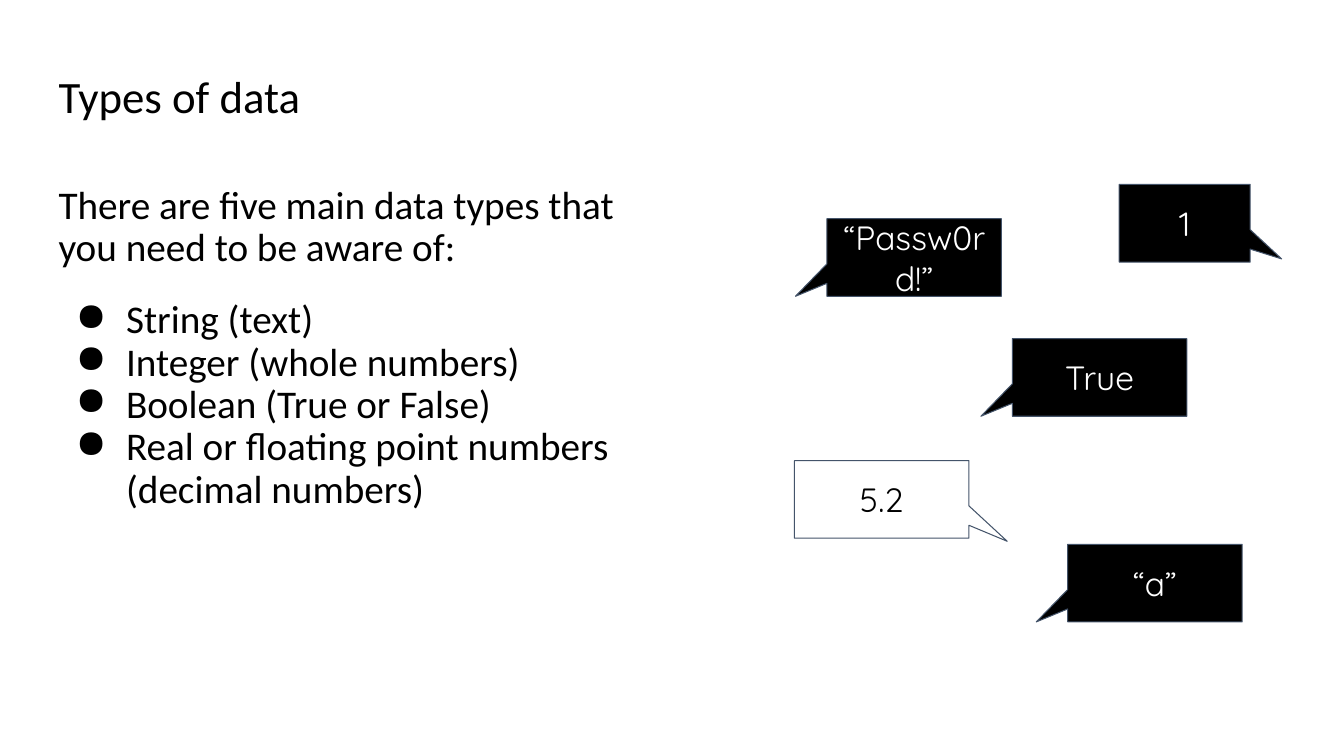
import pptx
import pptx.dml.color
import pptx.enum.shapes
import pptx.enum.text
import pptx.oxml.ns
import pptx.util
from lxml import etree

BLACK = pptx.dml.color.RGBColor(0x00, 0x00, 0x00)
WHITE = pptx.dml.color.RGBColor(0xFF, 0xFF, 0xFF)
SLATE = pptx.dml.color.RGBColor(0x44, 0x54, 0x6A)
MARGIN = pptx.util.Inches(0.13)
MIDDLE = pptx.enum.text.MSO_ANCHOR.MIDDLE
TOP = pptx.enum.text.MSO_ANCHOR.TOP

presentation = pptx.Presentation()
presentation.slide_width = pptx.util.Inches(13.33)
presentation.slide_height = pptx.util.Inches(7.5)
slide = presentation.slides.add_slide(presentation.slide_layouts[6])


def area(left, top, width, height):
    """Turn percentages of the slide into a position and size."""
    across, down = presentation.slide_width, presentation.slide_height
    return [int(share * side / 100) for share, side in
            ((left, across), (top, down), (width, across), (height, down))]


def write(shape, lines, anchor, paragraph_format, font_format, color):
    """Fill a shape with one paragraph per line and return the paragraphs."""
    frame = shape.text_frame
    frame_format = {"word_wrap": True, "vertical_anchor": anchor,
                    "margin_left": MARGIN, "margin_right": MARGIN,
                    "margin_top": MARGIN, "margin_bottom": MARGIN}
    for name, value in frame_format.items():
        setattr(frame, name, value)
    frame.text = "\n".join(lines)
    for paragraph in frame.paragraphs:
        for name, value in paragraph_format.items():
            setattr(paragraph, name, value)
        font = paragraph.runs[0].font
        for name, value in font_format.items():
            setattr(font, name, value)
        font.color.rgb = color
    return frame.paragraphs


# Title
left_aligned = {"line_spacing": 0.9, "alignment": pptx.enum.text.PP_ALIGN.LEFT}
title = slide.shapes.add_textbox(*area(3.38, 6.27, 93.25, 13.6))
write(title, ["Types of data"], MIDDLE, left_aligned,
      {"name": "Calibri", "size": pptx.util.Pt(32)}, BLACK)

# Introduction and bulleted list
body = slide.shapes.add_textbox(*area(3.38, 22.8, 44.79, 71.2))
introduction, *data_types = write(
    body,
    ["There are five main data types that you need to be aware of:",
     "String (text)",
     "Integer (whole numbers)",
     "Boolean (True or False)",
     "Real or floating point numbers (decimal numbers)"],
    TOP, left_aligned, {"name": "Calibri", "size": pptx.util.Pt(28)}, BLACK)
data_types[0].space_before = pptx.util.Pt(21.3)
for paragraph in data_types:
    properties = paragraph._p.get_or_add_pPr()
    properties.set("marL", str(pptx.util.Inches(0.67)))
    properties.set("indent", str(pptx.util.Inches(-0.5)))
    bullet = etree.SubElement(properties, pptx.oxml.ns.qn("a:buChar"))
    bullet.set("char", "●")

# Example values in speech callouts: text, left, top, width, tail, fill, text colour
CALLOUT_HEIGHT = 10.27
WIDE, NARROW = 12.98, 9.75
LEFT_TAIL = (-0.68, 0.5)
callouts = [
    ("1", 83.27, 24.4, NARROW, (0.74, 0.46), BLACK, WHITE),
    ("“Passw0rd!”", 61.52, 28.93, WIDE, LEFT_TAIL, BLACK, WHITE),
    ("True", 75.32, 44.8, WIDE, LEFT_TAIL, BLACK, WHITE),
    ("5.2", 59.11, 60.93, WIDE, (0.72, 0.54), WHITE, BLACK),
    ("“a”", 79.44, 72, WIDE, LEFT_TAIL, BLACK, WHITE),
]
for text, left, top, width, tail, fill, color in callouts:
    callout = slide.shapes.add_shape(
        pptx.enum.shapes.MSO_SHAPE.RECTANGULAR_CALLOUT,
        *area(left, top, width, CALLOUT_HEIGHT))
    callout.adjustments[0], callout.adjustments[1] = tail
    callout.shadow.inherit = False
    callout.fill.solid()
    callout.fill.fore_color.rgb = fill
    callout.line.color.rgb = SLATE
    callout.line.width = pptx.util.Pt(0.75)
    write(callout, [text], MIDDLE,
          {"alignment": pptx.enum.text.PP_ALIGN.CENTER},
          {"name": "Quicksand", "size": pptx.util.Pt(24)}, color)

presentation.save("out.pptx")
